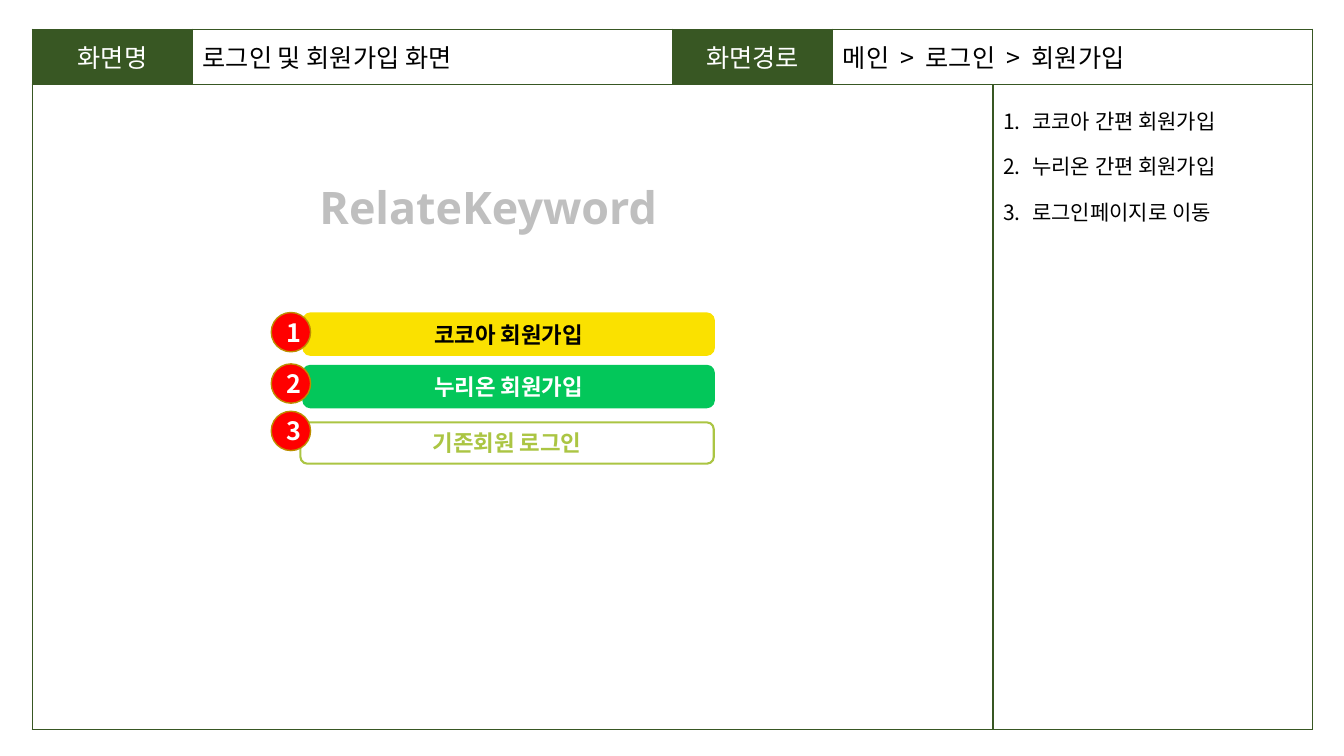
from lxml import etree
from pptx import Presentation
from pptx.dml.color import RGBColor
from pptx.enum.shapes import MSO_SHAPE
from pptx.enum.text import MSO_ANCHOR, PP_ALIGN
from pptx.oxml.ns import qn
from pptx.util import Inches, Pt

KOREAN, LATIN = "Noto Sans CJK KR", "Open Sans"
GREEN, WHITE, BLACK = "385723", "FFFFFF", "000000"

# Content
HEADER = [  # column, text, is label
    (0, "화면명", True),
    (1, "로그인 및 회원가입 화면", False),
    (2, "화면경로", True),
]
PATH = ["메인", "로그인", "회원가입"]
NOTES = ["코코아 간편 회원가입", "누리온 간편 회원가입", "로그인페이지로 이동"]
SERVICE = "RelateKeyword"
BUTTONS = [  # text, fill, line, text colour, left, top, badge top
    ("코코아 회원가입", "FAE100", "FAE100", BLACK, 3.01, 3.11, 3.10),
    ("누리온 회원가입", "03C75A", "03C75A", WHITE, 3.01, 3.63, 3.61),
    ("기존회원 로그인", WHITE, "ABC543", "ABC543", 2.98, 4.19, 4.08),
]

# Layout, in inches
TABLE_LEFT, TABLE_TOP = 0.32, 0.29
COLUMNS, ROWS = [1.59, 4.76, 1.59, 1.59, 3.17], [0.55, 6.4]
BUTTON_RIGHT, BUTTON_HEIGHT = 7.08, 0.41
BADGE_LEFT, BADGE_SIZE = 2.69, 0.39


def rgb(value):
    return RGBColor.from_string(value)


def add_run(paragraph, text, size, color, bold=False, font=KOREAN, spacing=0):
    run = paragraph.add_run()
    run.text = text
    run.font.size, run.font.bold, run.font.name = Pt(size), bold, font
    run.font.color.rgb = rgb(color)
    props = run._r.get_or_add_rPr()
    etree.SubElement(props, qn("a:ea")).set("typeface", font)
    if spacing:
        props.set("spc", str(int(spacing * 100)))


def set_borders(cell, color, width):
    props = cell._tc.get_or_add_tcPr()
    for i, side in enumerate(("lnL", "lnR", "lnT", "lnB")):
        line = etree.Element(qn("a:" + side), w=str(Pt(width)))
        fill = etree.SubElement(line, qn("a:solidFill"))
        etree.SubElement(fill, qn("a:srgbClr")).set("val", color)
        props.insert(i, line)


def add_shape(kind, box, fill, line, width, text, size, color):
    shape = slide.shapes.add_shape(kind, *map(Inches, box))
    shape.shadow.inherit = False
    shape.fill.solid()
    shape.fill.fore_color.rgb = rgb(fill)
    shape.line.color.rgb = rgb(line)
    shape.line.width = Pt(width)
    frame = shape.text_frame
    frame.vertical_anchor = MSO_ANCHOR.MIDDLE
    frame.paragraphs[0].alignment = PP_ALIGN.CENTER
    add_run(frame.paragraphs[0], text, size, color, bold=True)
    return frame


prs = Presentation()
prs.slide_width, prs.slide_height = Inches(13.33), Inches(7.5)
slide = prs.slides.add_slide(prs.slide_layouts[6])

# Specification table
table = slide.shapes.add_table(
    len(ROWS), len(COLUMNS), Inches(TABLE_LEFT), Inches(TABLE_TOP),
    Inches(sum(COLUMNS)), Inches(sum(ROWS))).table
for column, width in zip(table.columns, COLUMNS):
    column.width = Inches(width)
for row, height in zip(table.rows, ROWS):
    row.height = Inches(height)
label_columns = [column for column, _, is_label in HEADER if is_label]
for r in range(len(ROWS)):
    for c in range(len(COLUMNS)):
        cell = table.cell(r, c)
        cell.fill.solid()
        cell.fill.fore_color.rgb = rgb(GREEN if r == 0 and c in label_columns else WHITE)
        set_borders(cell, GREEN, 1)
        if r == 0:
            cell.vertical_anchor = MSO_ANCHOR.MIDDLE
table.cell(0, 3).merge(table.cell(0, 4))
table.cell(1, 0).merge(table.cell(1, 3))

# Header row and screen path
for column, text, is_label in HEADER:
    paragraph = table.cell(0, column).text_frame.paragraphs[0]
    if is_label:
        paragraph.alignment = PP_ALIGN.CENTER
    add_run(paragraph, text, 18, WHITE if is_label else BLACK)
paragraph = table.cell(0, 3).text_frame.paragraphs[0]
for i, step in enumerate(PATH):
    if i:
        for part, spacing in ((" ", 4), (">", 0), (" ", 4)):
            add_run(paragraph, part, 18, BLACK, spacing=spacing)
    add_run(paragraph, step, 18, BLACK)

# Numbered notes
frame = table.cell(1, 4).text_frame
for i, note in enumerate(NOTES):
    paragraph = frame.add_paragraph() if i else frame.paragraphs[0]
    paragraph.line_spacing = 1.5
    props = paragraph._p.get_or_add_pPr()
    props.set("marL", str(Inches(0.29)))
    props.set("indent", str(-Inches(0.29)))
    etree.SubElement(props, qn("a:buFont")).set("typeface", KOREAN)
    etree.SubElement(props, qn("a:buAutoNum")).set("type", "arabicPeriod")
    add_run(paragraph, note, 15, BLACK)

# Sign-up buttons with numbered badges
for number, (text, fill, line, color, left, top, badge_top) in enumerate(BUTTONS, 1):
    add_shape(MSO_SHAPE.ROUNDED_RECTANGLE,
              (left, top, BUTTON_RIGHT - left, BUTTON_HEIGHT),
              fill, line, 1.5, text, 16, color)
    badge = add_shape(MSO_SHAPE.OVAL, (BADGE_LEFT, badge_top, BADGE_SIZE, BADGE_SIZE),
                      "FF0000", "BD8E00", 1, str(number), 18, WHITE)
    badge.margin_left, badge.margin_right = Inches(0.06), 0

# Service name
box = slide.shapes.add_textbox(Inches(3.07), Inches(1.73), Inches(4.01), Inches(0.64))
box.text_frame.word_wrap = True
add_run(box.text_frame.paragraphs[0], SERVICE, 32, "BFBFBF", bold=True, font=LATIN)

prs.save("out.pptx")
